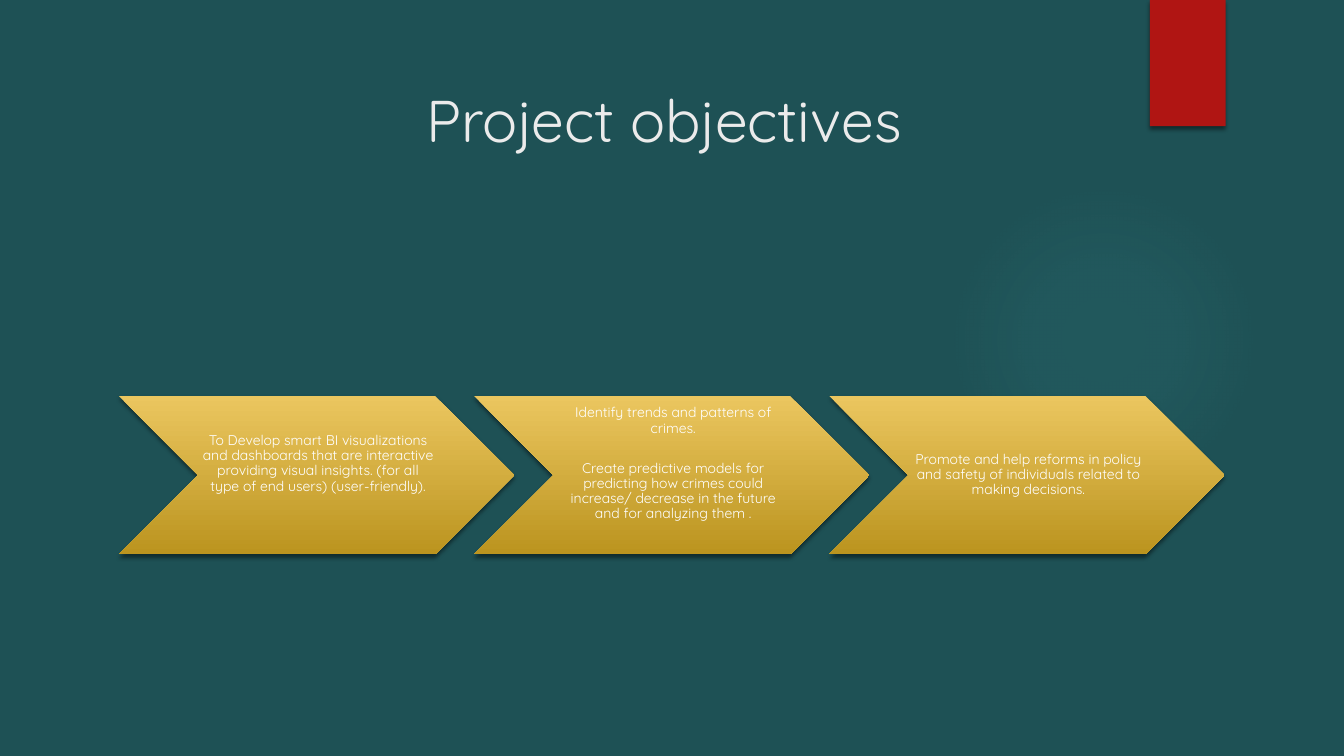
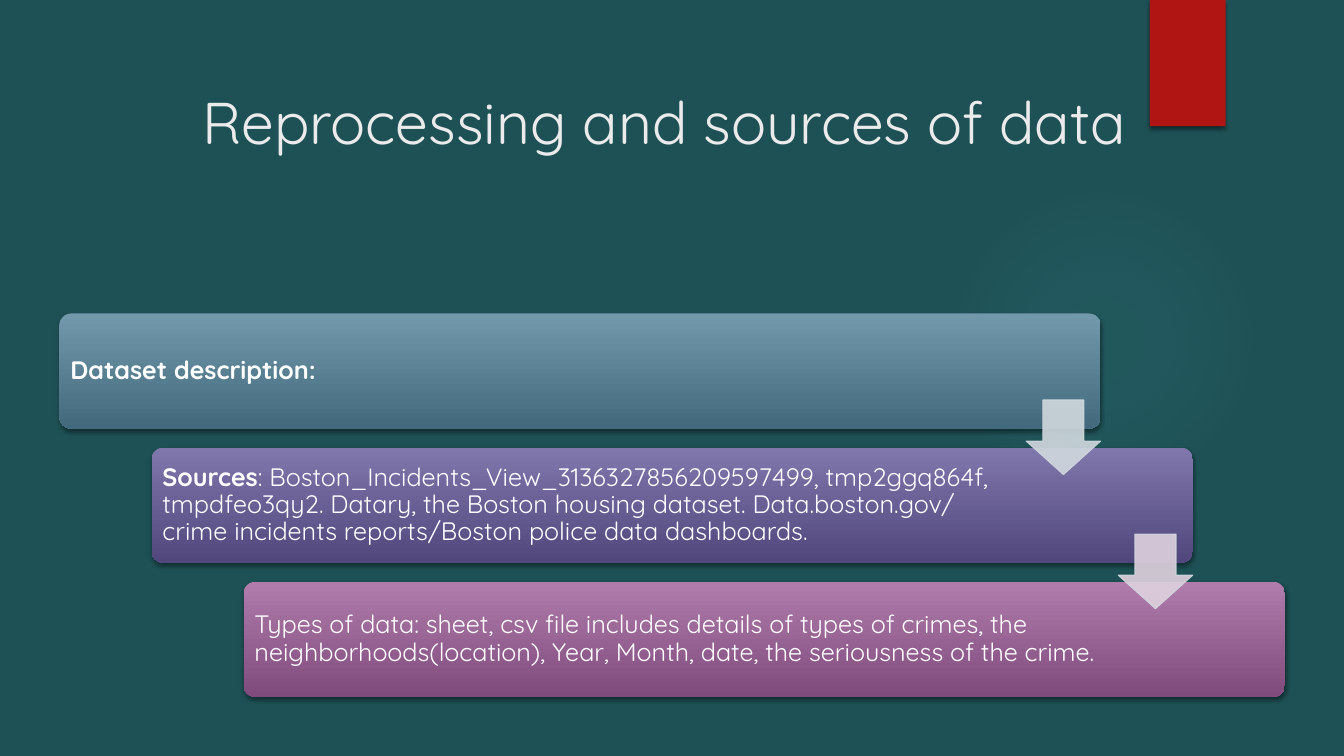
from lxml import etree
from pptx import Presentation
from pptx import util as u
from pptx.dml.color import RGBColor
from pptx.enum import shapes, text
from pptx.oxml import parse_xml
from pptx.oxml.ns import qn

TEAL = RGBColor(0x1E, 0x51, 0x55)
GLOW = RGBColor(0x50, 0xB9, 0xC1)
RED = RGBColor(0xB0, 0x15, 0x13)
PALE = RGBColor(0xEB, 0xEB, 0xEB)
WHITE = RGBColor(0xFF, 0xFF, 0xFF)
SHADE = RGBColor(0x00, 0x00, 0x00)
GOLD = (RGBColor(0xEB, 0xC6, 0x5F), RGBColor(0xBB, 0x94, 0x1F))
STEEL = (RGBColor(0x71, 0x98, 0xAB), RGBColor(0x43, 0x6A, 0x7C))
VIOLET = (RGBColor(0x80, 0x77, 0xAC), RGBColor(0x51, 0x47, 0x7D))
MAUVE = (RGBColor(0xAF, 0x7C, 0xAC), RGBColor(0x7F, 0x4B, 0x7C))
ARROW_EDGE = RGBColor(0xD1, 0xD9, 0xDE)
ARROW_FILLS = (ARROW_EDGE, RGBColor(0xDF, 0xD2, 0xDE))

FONT = "Quicksand"
DRAWING = "http://schemas.openxmlformats.org/drawingml/2006/main"
SHAPE = shapes.MSO_SHAPE
ANCHOR = text.MSO_ANCHOR
ALIGN = text.PP_ALIGN


class Deck:
    """Holds the shared style and the slide being built."""

    def __init__(self):
        self.prs = Presentation()
        self.prs.slide_width, self.prs.slide_height = u.Cm(33.87), u.Cm(19.05)
        self.slide = None

    def new_slide(self, title, top, height, anchor):
        self.slide = self.prs.slides.add_slide(self.prs.slide_layouts[6])
        background = self.slide.background.fill
        background.solid()
        background.fore_color.rgb = TEAL
        self.glow(23.9, 4.65, 7.82)
        banner = self.shape(SHAPE.RECTANGLE, 28.98, 0, 1.91, 3.18)
        banner.fill.solid()
        banner.fill.fore_color.rgb = RED
        self.cast_shadow(banner)
        heading = self.slide.shapes.add_textbox(
            u.Cm(2.8), u.Cm(top), u.Cm(27.86), u.Cm(height))
        self.add_text(heading, [[(title, False)]], 42, PALE, ALIGN.CENTER, anchor, 1)

    def shape(self, preset, left, top, width, height, adjustments=()):
        item = self.slide.shapes.add_shape(
            preset, u.Cm(left), u.Cm(top), u.Cm(width), u.Cm(height))
        item.shadow.inherit = False
        item.line.fill.background()
        for index, value in enumerate(adjustments):
            item.adjustments[index] = value
        return item

    def glow(self, left, top, size):
        circle = self.shape(SHAPE.OVAL, left, top, size, size)
        circle.fill.background()
        stops = "".join(
            f'<a:gs pos="{position}000"><a:srgbClr val="{GLOW}">'
            f'<a:alpha val="{alpha}000"/></a:srgbClr></a:gs>'
            for position, alpha in ((0, 7), (36, 6), (69, 0)))
        gradient = parse_xml(
            f'<a:gradFill xmlns:a="{DRAWING}"><a:gsLst>{stops}</a:gsLst><a:path path="circle">'
            '<a:fillToRect l="50000" t="50000" r="50000" b="50000"/></a:path></a:gradFill>')
        properties = circle._element.spPr
        properties.replace(properties.find(qn("a:noFill")), gradient)

    def cast_shadow(self, item):
        effects = item._element.spPr.find(qn("a:effectLst"))
        effects.append(parse_xml(
            f'<a:outerShdw xmlns:a="{DRAWING}" blurRad="{u.Pt(3)}" dist="{u.Pt(2)}" '
            f'dir="5400000" rotWithShape="0"><a:srgbClr val="{SHADE}">'
            '<a:alpha val="45000"/></a:srgbClr></a:outerShdw>'))

    def panel(self, preset, left, top, width, height, colors, adjustments=()):
        item = self.shape(preset, left, top, width, height, adjustments)
        item.fill.gradient()
        item.fill.gradient_angle = 270
        for stop, color in zip(item.fill.gradient_stops, colors):
            stop.color.rgb = color
        self.cast_shadow(item)
        return item

    def down_arrow(self, left, top, size, color):
        arrow = self.shape(SHAPE.DOWN_ARROW, left, top, size, size, (0.55, 0.45))
        arrow.fill.solid()
        arrow.fill.fore_color.rgb = color
        arrow.line.color.rgb = ARROW_EDGE
        arrow.line.width = u.Pt(0.75)
        for tint in arrow._element.spPr.iter(qn("a:srgbClr")):
            etree.SubElement(tint, qn("a:alpha"), val="90000")

    def add_text(self, item, paragraphs, size, color, align, anchor=ANCHOR.MIDDLE,
                 spacing=0.9, gap=0, margins=None):
        frame = item.text_frame
        frame.word_wrap = True
        frame.vertical_anchor = anchor
        if margins:
            (frame.margin_left, frame.margin_top,
             frame.margin_right, frame.margin_bottom) = map(u.Cm, margins)
        for index, runs in enumerate(paragraphs):
            paragraph = frame.add_paragraph() if index else frame.paragraphs[0]
            paragraph.alignment = align
            paragraph.line_spacing = spacing
            if index:
                paragraph.space_before = u.Pt(gap)
            for words, bold in runs:
                run = paragraph.add_run()
                run.text = words
                run.font.name = FONT
                run.font.size = u.Pt(size)
                run.font.bold = bold
                run.font.color.rgb = color


def objectives(deck):
    deck.new_slide("Project objectives", 1.47, 2.54, ANCHOR.BOTTOM)

    # Chevrons: wording and bottom margin
    goals = (
        (["To Develop smart BI visualizations and dashboards that are interactive providing "
          "visual insights. (for all type of end users) (user-friendly)."], 0.6),
        (["Identify trends and patterns of crimes.",
          "Create predictive models for predicting how crimes could increase/ decrease in the "
          "future and for analyzing them ."], 0.6),
        (["Promote and help reforms in policy and safety of individuals related to making "
          "decisions."], 0.03),
    )
    for index, (lines, bottom) in enumerate(goals):
        chevron = deck.panel(SHAPE.CHEVRON, 3 + index * 8.95, 9.98, 9.96, 3.99, GOLD)
        deck.add_text(chevron, [[(line, False)] for line in lines], 10, WHITE, ALIGN.CENTER,
                      gap=18, margins=(0.1, 0.03, 0.03, bottom))


def data_sources(deck):
    deck.new_slide("Reprocessing and sources of data", 1.5, 3.12, ANCHOR.MIDDLE)

    # Staircase of bars
    left, top, width, height = 1.5, 7.9, 26.24, 2.9
    step_x, step_y = 2.32, 3.38
    steps = (
        (STEEL, [("Dataset description:", True)]),
        (VIOLET, [("Sources", True),
                  (": Boston_Incidents_View_3136327856209597499, tmp2ggq864f, tmpdfeo3qy2. "
                   "Datary, the Boston housing dataset. Data.boston.gov/ crime incidents "
                   "reports/Boston police data dashboards.", False)]),
        (MAUVE, [("Types of data: sheet, csv file includes details of types of crimes, the "
                  "neighborhoods(location), Year, Month, date, the seriousness of the crime.",
                  False)]),
    )
    for index, (colors, runs) in enumerate(steps):
        bar = deck.panel(SHAPE.ROUNDED_RECTANGLE, left + index * step_x, top + index * step_y,
                         width, height, colors, (0.1,))
        deck.add_text(bar, [runs], 18, WHITE, ALIGN.LEFT, margins=(0.19, 0.19, 4.36, 0.19))

    # Arrows flush with the right end of the bar above
    size = 1.88
    for index, color in enumerate(ARROW_FILLS):
        deck.down_arrow(left + width - size + index * step_x, top + 2.18 + index * step_y,
                        size, color)


def main():
    deck = Deck()
    objectives(deck)
    data_sources(deck)
    deck.prs.save("out.pptx")


if __name__ == "__main__":
    main()
